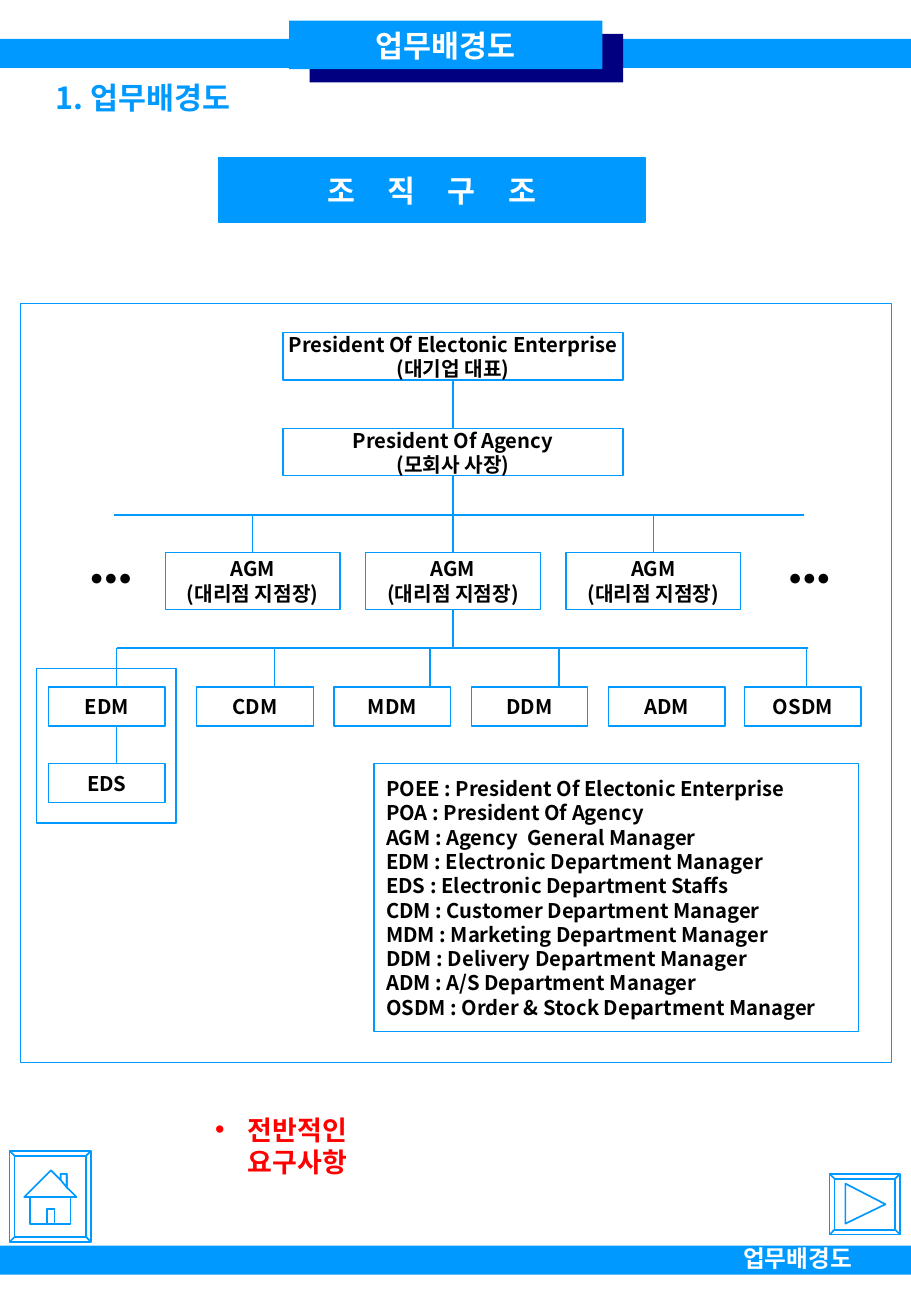
from lxml import etree
from pptx import Presentation, util as u
from pptx.dml.color import RGBColor
from pptx.enum import shapes, text
from pptx.oxml.ns import qn

PX = 9144
KOREAN = "Noto Sans CJK KR"
COLORS = {"blue": "0099FF", "navy": "000080", "white": "FFFFFF", "black": "000000", "red": "FF0000"}

HEADING = "업무배경도"
SECTION = "1. 업무배경도"
REQUIREMENT = "전반적인 요구사항"
BANNER = [("조 직 구 ", 750), ("조", 0)]
PRESIDENTS = [
    (["President Of Electonic Enterprise", "(대기업 대표)"], 274),
    (["President Of Agency", "(모회사 사장)"], 353),
]
AGENCY_MANAGER = ["AGM", "(대리점 지점장)"]
DEPARTMENTS = [("EDM", 40), ("CDM", 162), ("MDM", 275), ("DDM", 388), ("ADM", 501), ("OSDM", 613)]
DEPARTMENT_DROPS = [96, 226, 354, 460, 664]
ABBREVIATIONS = [
    "POEE : President Of Electonic Enterprise",
    "POA : President Of Agency",
    "AGM : Agency  General Manager",
    "EDM : Electronic Department Manager",
    "EDS : Electronic Department Staffs",
    "CDM : Customer Department Manager",
    "MDM : Marketing Department Manager",
    "DDM : Delivery Department Manager",
    "ADM : A/S Department Manager",
    "OSDM : Order & Stock Department Manager",
]
HOUSE = [
    [(42, 16), (50, 24), (50, 19), (55, 19), (55, 30), (63, 38), (20, 38)],
    [(25, 38), (58, 38), (58, 60), (25, 60)],
    [(50, 24), (50, 19), (55, 19), (55, 30)],
    [(39, 60), (39, 48), (45, 48), (45, 60)],
]
HOUSE = [[(x - 8, y) for x, y in contour] for contour in HOUSE]
NEXT_ARROW = [[(13, 8), (46, 25), (13, 41)]]

presentation = Presentation()
presentation.slide_width, presentation.slide_height = 750 * PX, 1084 * PX
slide = presentation.slides.add_slide(presentation.slide_layouts[1])


def color(name):
    return RGBColor.from_string(COLORS[name])


def place(shape, left, top, width, height):
    shape.left, shape.top, shape.width, shape.height = (n * PX for n in (left, top, width, height))


def add_run(paragraph, words, size, ink, font=KOREAN, bold=True, spacing=0):
    run = paragraph.add_run()
    run.text = words
    run.font.size, run.font.bold, run.font.name = u.Pt(size), bold, font
    run.font.color.rgb = color(ink)
    properties = run.font._element
    etree.SubElement(properties, qn("a:ea")).set("typeface", font)
    if spacing:
        properties.set("spc", str(spacing))


def write(shape, lines, size=12, ink="black", align="CENTER", anchor="MIDDLE", wrap=False, **style):
    frame = shape.text_frame
    frame.word_wrap = wrap
    frame.auto_size = text.MSO_AUTO_SIZE.NONE
    frame.vertical_anchor = getattr(text.MSO_ANCHOR, anchor)
    for index, line in enumerate(lines):
        paragraph = frame.add_paragraph() if index else frame.paragraphs[0]
        paragraph.alignment = getattr(text.PP_ALIGN, align)
        paragraph.line_spacing = u.Pt(size * 1.2)
        paragraph.space_before = u.Pt(0)
        runs = [(line, 0)] if isinstance(line, str) else line
        for words, spacing in runs:
            add_run(paragraph, words, size, ink, spacing=spacing, **style)


def add_box(left, top, width, height, fill=None, outline="blue"):
    shape = slide.shapes.add_shape(
        shapes.MSO_SHAPE.RECTANGLE, *(n * PX for n in (left, top, width, height)))
    shape.shadow.inherit = False
    if fill:
        shape.fill.solid()
        shape.fill.fore_color.rgb = color(fill)
    else:
        shape.fill.background()
    if outline:
        shape.line.color.rgb = color(outline)
        shape.line.width = u.Pt(0.75)
    else:
        shape.line.fill.background()
    return shape


def add_label(left, top, width, height):
    return slide.shapes.add_textbox(*(n * PX for n in (left, top, width, height)))


def add_line(x1, y1, x2, y2, above=None, below=None):
    line = slide.shapes.add_connector(
        shapes.MSO_CONNECTOR.STRAIGHT, *(n * PX for n in (x1, y1, x2, y2)))
    line.line.color.rgb = color("blue")
    line.line.width = u.Pt(1)
    etree.SubElement(line._element.spPr, qn("a:effectLst"))
    if above:
        line.begin_connect(above, 2)
    if below:
        line.end_connect(below, 0)


def add_button(left, top, width, height, symbol, bevel=4):
    outer = [(0, 0), (width, 0), (width, height), (0, height)]
    inner = [(abs(x - bevel), abs(y - bevel)) for x, y in outer]
    contours = [(outer, True), (inner, True)]
    contours += [(pair, False) for pair in zip(outer, inner)]
    contours += [(contour, True) for contour in symbol]
    builder = slide.shapes.build_freeform(left, top, PX)
    for contour, closed in contours:
        points = [(left + x, top + y) for x, y in contour]
        builder.move_to(*points[0])
        builder.add_line_segments(points[1:], close=closed)
    button = builder.convert_to_shape()
    button.shadow.inherit = False
    button.fill.background()
    button.line.color.rgb = color("blue")
    button.line.width = u.Pt(1)


title, requirement = slide.placeholders
place(title, 36, 60, 464, 40)
write(title, [SECTION], 18, "blue", "LEFT", "TOP", True)

write(add_box(180, 130, 351, 53, "blue"), [BANNER], 18, "white")
add_box(17, 250, 717, 625)

president_boxes = []
for lines, top in PRESIDENTS:
    box = add_box(233, top, 280, 39)
    write(box, lines)
    president_boxes.append(box)
enterprise, agency = president_boxes
add_line(373, 313, 373, 353, enterprise, agency)

add_line(94, 424, 662, 424)
for index in range(3):
    left = 136 + 165 * index
    box = add_box(left, 455, 144, 47)
    write(box, AGENCY_MANAGER)
    if index == 1:
        add_line(373, 392, 373, 455, agency, box)
        add_line(373, 502, 373, 534, box)
    else:
        add_line(left + 72, 424, left + 72, 455, below=box)
for left in (64, 639):
    write(add_label(left, 450, 55, 50), ["•••"], 24, align="LEFT", anchor="TOP",
          font="Times New Roman", bold=False)

add_line(96, 534, 665, 534)
for x in DEPARTMENT_DROPS:
    add_line(x, 534, x, 566)
for name, left in DEPARTMENTS:
    write(add_box(left, 566, 96, 32), [name])
write(add_box(40, 629, 96, 32), ["EDS"])
add_line(96, 598, 96, 629)
add_box(30, 551, 115, 127)
write(add_box(308, 629, 399, 221), ABBREVIATIONS, align="LEFT", wrap=True)

for top in (1026, 32):
    add_box(0, top, 750, 24, "blue", None)
write(add_label(602, 1020, 139, 34), [HEADING], 14, "white", "LEFT", "TOP", True)
add_box(255, 28, 258, 40, "navy", None)
write(add_box(238, 17, 258, 40, "blue", None), [HEADING], 18, "white")

add_button(8, 948, 67, 75, HOUSE)
add_button(683, 967, 58, 50, NEXT_ARROW)

place(requirement, 167, 912, 133, 74)
bullet = requirement.text_frame.paragraphs[0]._p.get_or_add_pPr()
bullet.set("marL", str(27 * PX))
bullet.set("indent", str(-27 * PX))
bullet_color = etree.SubElement(bullet, qn("a:buClr"))
etree.SubElement(bullet_color, qn("a:srgbClr")).set("val", COLORS["red"])
etree.SubElement(bullet, qn("a:buChar")).set("char", "•")
write(requirement, [REQUIREMENT], 16, "red", "LEFT", "TOP", True)

presentation.save("out.pptx")
